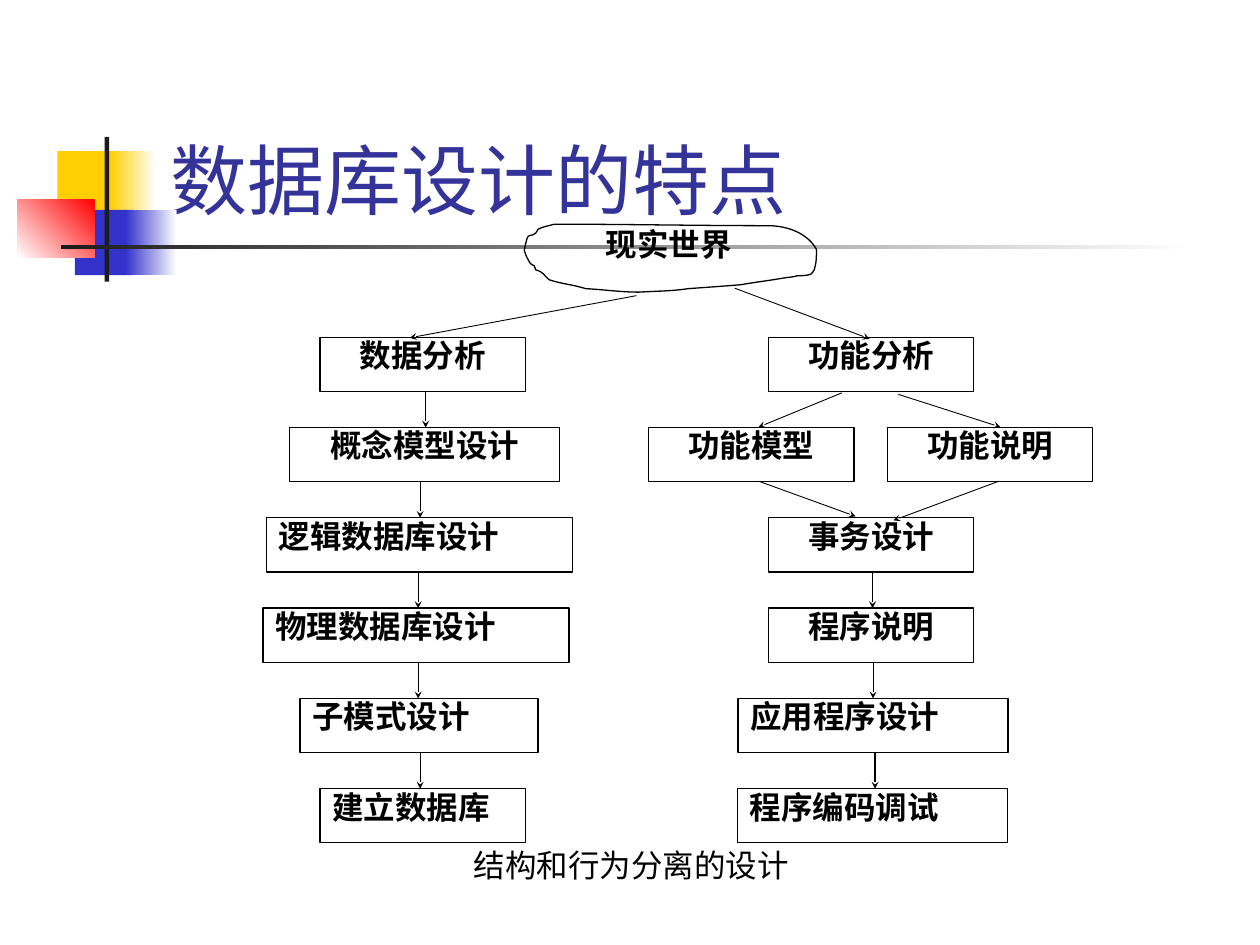
from dataclasses import dataclass

from lxml.etree import SubElement
from pptx import Presentation
from pptx.dml.color import RGBColor
from pptx.enum.shapes import MSO_CONNECTOR as Connector, MSO_SHAPE as Shape
from pptx.enum.text import MSO_ANCHOR as Anchor, MSO_AUTO_SIZE as AutoSize, PP_ALIGN as Align
from pptx.oxml.ns import qn
from pptx.util import Cm, Pt


@dataclass(frozen=True)
class Theme:
    title: str = "333399"
    ink: str = "000000"
    dark: str = "1C1C1C"
    yellow: str = "FFCF01"
    blue: str = "3333CC"
    red: str = "FF0000"
    white: str = "FFFFFF"
    title_font: str = "Cabin"
    body_font: str = "Times New Roman"
    title_size: int = 44
    body_size: int = 18
    outline: float = 0.75
    arrow: float = 0.5


THEME = Theme()

# Flow chart grid, in centimetres
ROW_TOP, ROW_PITCH, BOX_HEIGHT = 6.8, 1.82, 1.09

# Row, left, width, text, alignment
BOXES = [
    (0, 6.45, 4.14, "数据分析", Align.CENTER),
    (1, 5.84, 5.44, "概念模型设计", Align.CENTER),
    (2, 5.37, 6.17, "逻辑数据库设计", Align.JUSTIFY),
    (3, 5.30, 6.17, "物理数据库设计", Align.JUSTIFY),
    (4, 6.05, 4.80, "子模式设计", Align.JUSTIFY),
    (5, 6.45, 4.14, "建立数据库", Align.JUSTIFY),
    (0, 15.49, 4.14, "功能分析", Align.CENTER),
    (1, 13.08, 4.14, "功能模型", Align.CENTER),
    (1, 17.89, 4.14, "功能说明", Align.CENTER),
    (2, 15.49, 4.14, "事务设计", Align.CENTER),
    (3, 15.49, 4.14, "程序说明", Align.CENTER),
    (4, 14.88, 5.44, "应用程序设计", Align.JUSTIFY),
    (5, 14.87, 5.44, "程序编码调试", Align.JUSTIFY),
]

# Row above the arrow, horizontal position, line width
DOWN_ARROWS = [
    (0, 8.58, THEME.arrow), (1, 8.47, THEME.arrow), (2, 8.43, THEME.arrow),
    (3, 8.43, THEME.arrow), (4, 8.47, THEME.arrow),
    (2, 17.59, THEME.arrow), (3, 17.60, THEME.arrow), (4, 17.64, THEME.outline),
]

# Start and end of the branching arrows
BRANCH_ARROWS = [
    ((12.83, 5.96), (8.26, 6.81)), ((14.81, 5.81), (17.53, 6.83)),
    ((16.97, 7.92), (15.29, 8.61)), ((18.11, 7.95), (20.17, 8.61)),
    ((15.29, 9.70), (17.25, 10.41)), ((20.14, 9.70), (18.01, 10.49)),
]

# Cloud outline: a start point, then two control points and an end per curve
CLOUD_START = (10.85, 4.62)
CLOUD_CURVES = [
    ((10.95, 4.57), (11.07, 4.55), (11.18, 4.52)),
    ((12.60, 4.52), (14.05, 4.55), (15.47, 4.55)),
    ((15.95, 4.55), (16.31, 4.75), (16.46, 5.03)),
    ((16.46, 5.16), (16.46, 5.28), (16.43, 5.38)),
    ((16.43, 5.44), (16.36, 5.54), (16.31, 5.54)),
    ((16.23, 5.56), (16.15, 5.56), (16.08, 5.56)),
    ((15.98, 5.59), (15.88, 5.59), (15.77, 5.61)),
    ((15.49, 5.66), (15.21, 5.69), (14.94, 5.74)),
    ((14.61, 5.77), (13.87, 5.82), (13.87, 5.82)),
    ((13.56, 5.87), (13.21, 5.87), (12.88, 5.89)),
    ((12.52, 5.89), (12.19, 5.84), (11.81, 5.82)),
    ((11.56, 5.74), (11.30, 5.72), (11.07, 5.64)),
    ((10.95, 5.54), (10.97, 5.49), (10.80, 5.44)),
    ((10.80, 5.41), (10.77, 5.38), (10.77, 5.36)),
    ((10.74, 5.33), (10.69, 5.33), (10.69, 5.31)),
    ((10.64, 5.23), (10.59, 5.13), (10.57, 5.05)),
    ((10.59, 4.98), (10.59, 4.90), (10.62, 4.83)),
    ((10.64, 4.70), (10.72, 4.78), (10.80, 4.70)),
    ((10.82, 4.67), (10.82, 4.65), CLOUD_START),
]


def color(value):
    return RGBColor.from_string(value)


def row_top(row):
    return ROW_TOP + row * ROW_PITCH


def write(frame, text, align=Align.LEFT, bold=False, font=THEME.body_font,
          size=THEME.body_size, ink=THEME.ink, spacing=None):
    paragraph = frame.paragraphs[0]
    paragraph.alignment = align
    paragraph.line_spacing = spacing
    run = paragraph.add_run()
    run.text = text
    run.font.name, run.font.size, run.font.bold = font, Pt(size), bold
    run.font.color.rgb = color(ink)


def outline(shape):
    shape.shadow.inherit = False
    shape.fill.background()
    shape.line.color.rgb = color(THEME.ink)
    shape.line.width = Pt(THEME.outline)


def add_title(slide, text):
    title = slide.shapes.title
    title.left, title.top, title.width, title.height = Cm(3.19), Cm(0.6), Cm(21.64), Cm(4.06)
    frame = title.text_frame
    frame.auto_size, frame.vertical_anchor = AutoSize.NONE, Anchor.BOTTOM
    write(frame, text, font=THEME.title_font, size=THEME.title_size, ink=THEME.title)


def add_block(slide, left, top, width, height, tint, fade_angle=None):
    """A borderless rectangle, solid or fading to white."""
    block = slide.shapes.add_shape(Shape.RECTANGLE, Cm(left), Cm(top), Cm(width), Cm(height))
    block.shadow.inherit = False
    block.line.fill.background()
    if fade_angle is None:
        block.fill.solid()
        block.fill.fore_color.rgb = color(tint)
        return
    block.fill.gradient()
    block.fill.gradient_angle = fade_angle
    for stop, value in zip(block.fill.gradient_stops, (tint, THEME.white)):
        stop.color.rgb = color(value)


def add_box(slide, row, left, width, text, align):
    box = slide.shapes.add_shape(
        Shape.RECTANGLE, Cm(left), Cm(row_top(row)), Cm(width), Cm(BOX_HEIGHT))
    outline(box)
    box.text_frame.vertical_anchor = Anchor.TOP
    write(box.text_frame, text, align, bold=True, spacing=0.8)


def add_label(slide, left, top, width, height, wrap=True):
    label = slide.shapes.add_textbox(Cm(left), Cm(top), Cm(width), Cm(height))
    label.text_frame.word_wrap = wrap
    return label.text_frame


def add_arrow(slide, start, end, width=THEME.arrow):
    arrow = slide.shapes.add_connector(Connector.STRAIGHT, *map(Cm, start + end))
    arrow.line.color.rgb = color(THEME.ink)
    arrow.line.width = Pt(width)
    SubElement(arrow.line._get_or_add_ln(), qn("a:tailEnd"), type="stealth", w="sm", len="sm")
    SubElement(arrow._element.spPr, qn("a:effectLst"))


def add_cloud(slide):
    builder = slide.shapes.build_freeform(*map(Cm, CLOUD_START))
    builder.add_line_segments(
        [(Cm(x), Cm(y)) for curve in CLOUD_CURVES for x, y in curve], close=True)
    cloud = builder.convert_to_shape()
    outline(cloud)
    # Join each three straight segments into one Bézier curve
    segments = list(cloud._element.iter(qn("a:lnTo")))
    for first, second, end in zip(segments[::3], segments[1::3], segments[2::3]):
        first.tag = qn("a:cubicBezTo")
        for segment in (second, end):
            first.append(segment[0])
            segment.getparent().remove(segment)
    write(add_label(slide, 11.49, 4.55, 3.99, 1.32), "现实世界", Align.CENTER,
          bold=True, spacing=0.8)


def main():
    presentation = Presentation()
    presentation.slide_width, presentation.slide_height = Cm(25.4), Cm(19.05)
    slide = presentation.slides.add_slide(presentation.slide_layouts[5])

    # Title and corner ornament
    add_title(slide, "数据库设计的特点")
    add_block(slide, 1.16, 3.05, 1.22, 1.32, THEME.yellow)
    add_block(slide, 2.22, 3.05, 0.92, 1.32, THEME.yellow, 0)
    add_block(slide, 1.51, 4.23, 1.17, 1.32, THEME.blue)
    add_block(slide, 2.54, 4.23, 1.02, 1.32, THEME.blue, 0)
    add_block(slide, 0.35, 4.02, 1.56, 1.18, THEME.red, 225)
    add_block(slide, 2.11, 2.76, 0.09, 2.92, THEME.dark)
    add_block(slide, 1.23, 4.94, 22.86, 0.09, THEME.dark, 0)

    # Flow chart
    add_cloud(slide)
    for box in BOXES:
        add_box(slide, *box)
    for row, x, width in DOWN_ARROWS:
        add_arrow(slide, (x, row_top(row) + BOX_HEIGHT), (x, row_top(row + 1)), width)
    for start, end in BRANCH_ARROWS:
        add_arrow(slide, start, end)

    # Caption
    caption = add_label(slide, 9.3, 16.92, 7.01, 1.02, wrap=False)
    caption.vertical_anchor = Anchor.MIDDLE
    write(caption, "结构和行为分离的设计")

    presentation.save("out.pptx")


if __name__ == "__main__":
    main()
